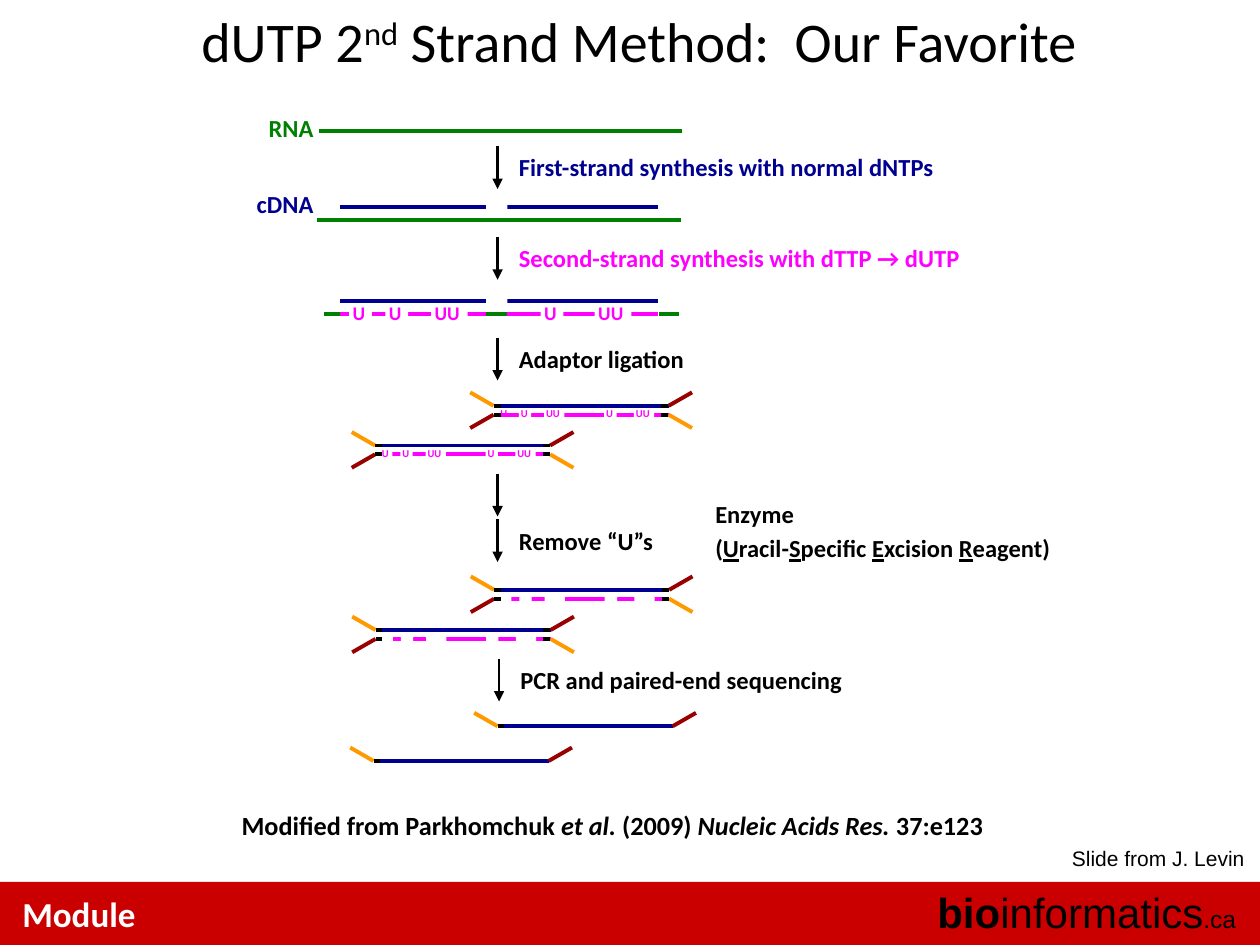
from dataclasses import dataclass

from lxml.etree import SubElement as Sub
from pptx import Presentation
from pptx.dml.color import RGBColor as Rgb
from pptx.enum.shapes import MSO_CONNECTOR as Conn, MSO_SHAPE as Kind
from pptx.enum.text import MSO_ANCHOR as Anchor, MSO_AUTO_SIZE as Auto, PP_ALIGN as Align
from pptx.oxml.ns import qn
from pptx.util import Cm, Pt


@dataclass(frozen=True)
class Theme:
    """Colours, fonts and type sizes."""
    black: str = "000000"
    white: str = "FFFFFF"
    green: str = "008000"
    blue: str = "000090"
    pink: str = "FF00FF"
    gold: str = "FF9900"
    wine: str = "990000"
    red: str = "CA0000"
    font: str = "Calibri"
    plain: str = "Arial"
    title: int = 32
    brand: int = 24
    module: int = 20
    cite: int = 15
    label: int = 14
    note: int = 12
    base: int = 11
    tiny: int = 6
    strand: float = 2.25
    arrow: float = 1.25


class Deck:
    """Holds the theme and the current slide."""

    def __init__(self, theme):
        self.theme = theme
        self.prs = Presentation()
        self.prs.slide_width, self.prs.slide_height = Cm(25.4), Cm(19.05)
        self.slide = self.prs.slides.add_slide(self.prs.slide_layouts[5])

    def run(self, para, text, size, color=None, bold=True, italic=False,
            under=False, font=None, lift=0):
        """Add one styled run."""
        run = para.add_run()
        run.text = text
        face = run.font
        face.size, face.name = Pt(size), font or self.theme.font
        face.bold, face.italic, face.underline = bold, italic, under
        face.color.rgb = Rgb.from_string(color or self.theme.black)
        if lift:
            run._r.get_or_add_rPr().set("baseline", str(lift * 1000))

    def title(self, parts):
        """Fill the title from (text, lift) parts."""
        box = self.slide.shapes.title
        box.left, box.top, box.width, box.height = Cm(1), Cm(0), Cm(23.77), Cm(1.4)
        frame = box.text_frame
        frame.auto_size, frame.vertical_anchor = Auto.NONE, Anchor.TOP
        para = frame.paragraphs[0]
        para.alignment = Align.CENTER
        for text, lift in parts:
            self.run(para, text, self.theme.title, bold=False, lift=lift)

    def text(self, x, y, w, h, lines, size, align=Align.LEFT, wrap=True, gap=0,
             inset=0.25, **look):
        """Add a text box of lines, each a list of (text, style) runs."""
        box = self.slide.shapes.add_textbox(Cm(x), Cm(y), Cm(w), Cm(h))
        frame = box.text_frame
        frame.word_wrap = wrap
        frame.margin_left = Cm(inset)
        frame.margin_right = Cm(min(inset, w - inset - 0.2))
        for i, line in enumerate(lines):
            para = frame.add_paragraph() if i else frame.paragraphs[0]
            para.alignment = align
            if i:
                para.space_before = Pt(gap)
            for text, style in line:
                self.run(para, text, **{"size": size, **look, **style})

    def label(self, x, y, w, text, color, align=Align.LEFT):
        """Add a one-line bold label."""
        self.text(x, y, w, 0.86, [[(text, {})]], self.theme.label, align, color=color)

    def block(self, x, y, w, h, color):
        """Add a plain filled rectangle."""
        box = self.slide.shapes.add_shape(Kind.RECTANGLE, Cm(x), Cm(y), Cm(w), Cm(h))
        box.shadow.inherit = False
        box.fill.solid()
        box.fill.fore_color.rgb = Rgb.from_string(color)
        box.line.fill.background()

    def line(self, x, y, dx, dy, color, head=False):
        """Add a strand, or an arrow with a head."""
        link = self.slide.shapes.add_connector(
            Conn.STRAIGHT, Cm(x), Cm(y), Cm(x + dx), Cm(y + dy))
        link.line.width = Pt(self.theme.arrow if head else self.theme.strand)
        link.line.color.rgb = Rgb.from_string(color)
        props = link._element.spPr
        if head:
            Sub(props.find(qn("a:ln")), qn("a:tailEnd"), type="triangle")
        Sub(props, qn("a:effectLst"))

    def step(self, y, text=None, color=None, w=4.88, x=10.03):
        """Add a down arrow with its label."""
        if text:
            self.label(x + 0.18, y, w, text, color or self.theme.black)
        self.line(x, y, 0, 0.86, self.theme.black, head=True)

    def base(self, x, y, text, big=False, cut=True, show=True):
        """Add a uracil site: a gap in the strand and its letters."""
        wide = len(text) - 1
        gaps, boxes, high, tall, rise, size = (
            ((0.46, 0.74), (0.84, 1.09), 0.46, 0.74, 0.18, self.theme.base) if big else
            ((0.25, 0.41), (0.46, 0.89), 0.25, 0.51, 0.15, self.theme.tiny))
        if cut:
            self.block(x, y, gaps[wide], high, self.theme.white)
        if show:
            self.text(x - 0.18, y - rise, boxes[wide], tall, [[(text, {})]], size,
                      inset=0.25 if big else 0.22, color=self.theme.pink)

    def duplex(self, x, y, show=True, first=True):
        """Add a double strand with forked adaptors."""
        t, low = self.theme, y + 0.18
        self.line(x, low, 3.53, 0, t.pink)
        self.line(x, y, 3.53, 0, t.blue)
        sites = (0.1, "U"), (0.51, "U"), (1.02, "UU"), (2.23, "U"), (2.83, "UU")
        for i, (dx, text) in enumerate(sites):
            self.base(x + dx, y + 0.05, text, cut=first or i > 0, show=show)
        for level, rise, left, right in ((y, -0.27, t.gold, t.wine),
                                         (low, 0.27, t.wine, t.gold)):
            self.line(x, level, -0.47, rise, left)
            self.line(x + 3.53, level, 0.47, rise, right)
            for dx in (0, 3.38):
                self.line(x + dx, level, 0.14, 0, t.black)

    def single(self, x, y):
        """Add a single strand with its two adaptors."""
        t = self.theme
        self.line(x, y, 3.53, 0, t.blue)
        self.line(x + 3.53, y, 0.47, -0.27, t.wine)
        self.line(x, y, -0.47, -0.27, t.gold)
        self.line(x, y, 0.14, 0, t.black)

    def pair(self, y):
        """Add the two first-strand pieces."""
        self.line(6.85, y, 6.42, 0, self.theme.blue)
        self.block(9.8, y - 0.17, 0.43, 0.25, self.theme.white)


def main():
    """Build the slide."""
    t = Theme()
    deck = Deck(t)
    deck.title([("dUTP 2", 0), ("nd", 30), (" Strand Method:  Our Favorite", 0)])

    deck.line(6.43, 2.64, 7.32, 0, t.green)
    deck.label(3.73, 2.16, 2.84, "RNA", t.green, Align.RIGHT)
    deck.step(2.95, "First-strand synthesis with normal dNTPs", t.blue, 10.49)
    deck.line(6.4, 4.43, 7.32, 0, t.green)
    deck.pair(4.17)
    deck.label(3.73, 3.68, 2.84, "cDNA", t.blue, Align.RIGHT)

    deck.step(4.78, "Second-strand synthesis with dTTP → dUTP", t.pink, 11.56)
    deck.line(6.85, 6.33, 6.42, 0, t.pink)
    deck.pair(6.06)
    for x, text in ((7.04, "U"), (7.77, "U"), (8.69, "UU"), (10.9, "U"), (11.99, "UU")):
        deck.base(x, 6.12, text, big=True)
    for x, w in ((6.53, 0.33), (9.8, 0.43), (13.28, 0.41)):
        deck.line(x, 6.33, w, 0, t.green)

    deck.step(6.81, "Adaptor ligation")
    deck.duplex(9.95, 8.18, first=False)
    deck.duplex(7.56, 8.98)

    deck.step(9.55)
    deck.step(10.47, "Remove “U”s")
    mark = {"under": True}
    deck.text(14.17, 9.93, 9.58, 1.55, [
        [("Enzyme", {})],
        [("(", {}), ("U", mark), ("racil-", {}), ("S", mark), ("pecific ", {}),
         ("E", mark), ("xcision ", {}), ("R", mark), ("eagent)", {})],
    ], t.label, gap=3)
    deck.duplex(9.96, 11.89, show=False)
    deck.duplex(7.57, 12.7, show=False)

    deck.step(13.28, "PCR and paired-end sequencing", w=11.79, x=10.06)
    deck.single(10.03, 14.64)
    deck.single(7.53, 15.34)

    tilt = {"italic": True}
    deck.text(4.62, 16.18, 17.81, 0.89, [[
        ("Modified from Parkhomchuk ", {}), ("et al.", tilt), (" (2009) ", {}),
        ("Nucleic Acids Res. ", tilt), ("37:e123", {})]], t.cite)
    deck.block(0, 17.78, 25.4, 1.27, t.red)
    deck.text(0.2, 17.86, 18.62, 1.09, [[("Module", {})]], t.module, color=t.white)
    deck.text(18.62, 17.75, 6.55, 1.27, [[
        ("bio", {"bold": True}), ("informatics", {}), (".ca", {"size": t.label})]],
        t.brand, Align.RIGHT, bold=False, font=t.plain)
    deck.text(21.36, 16.92, 4.04, 0.76, [[("Slide from J. Levin", {})]], t.note,
              wrap=False, bold=False, font=t.plain)
    deck.prs.save("out.pptx")


if __name__ == "__main__":
    main()
